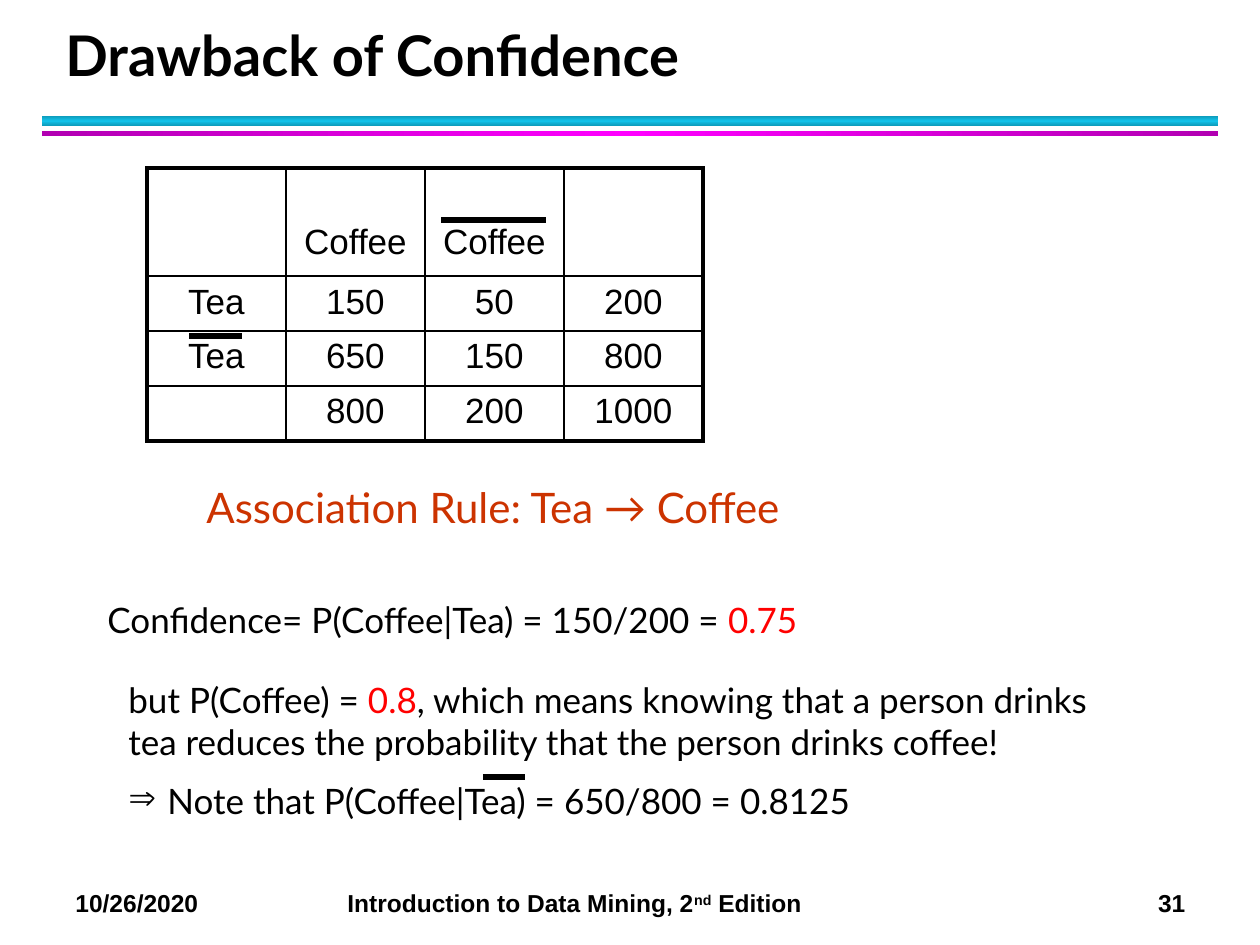
import copy
import pptx
import pptx.util
import pptx.dml.color
import pptx.enum.shapes
import pptx.enum.text
import pptx.oxml.ns
from lxml import etree

THEME = {
    "black": "000000", "red": "FF0000", "rust": "CC3300",
    "cyan": ("0E9BBA", "12C2E9", "0E9BBA"),
    "magenta": ("B200B2", "FF00FF", "B200B2"),
    "body_font": "Lato", "plain_font": "Arial",
    "title": 32, "rule": 24, "body": 20, "footer": 14,
    "thin": 1, "frame": 2.25, "overline": 3,
}
PX = 914400 / 126
qn = pptx.oxml.ns.qn
Pt = pptx.util.Pt
RGB = pptx.dml.color.RGBColor.from_string
ALIGN = pptx.enum.text.PP_ALIGN
ANCHOR = pptx.enum.text.MSO_ANCHOR


def add_box(x, y, w, h):
    """Add a wrapping text box, in px, and return its text frame."""
    box = s.shapes.add_textbox(*[round(v * PX) for v in (x, y, w, h)])
    box.text_frame.word_wrap = True
    return box.text_frame


def add_runs(p, size, *runs, font=THEME["body_font"], bold=False):
    """Add (text, colour name) runs to a paragraph."""
    for text, color in runs:
        r = p.add_run()
        r.text = text
        r.font.name, r.font.size, r.font.bold = font, Pt(THEME[size]), bold
        r.font.color.rgb = RGB(THEME[color])
    return p


prs = pptx.Presentation()
prs.slide_width, prs.slide_height = round(1260 * PX), round(945 * PX)
s = prs.slides.add_slide(prs.slide_layouts[6])

# Gradient bars under the title
for y, h, colors, angle in ((116, 10, "cyan", 90), (131, 5, "magenta", 0)):
    sp = s.shapes.add_shape(pptx.enum.shapes.MSO_SHAPE.RECTANGLE,
                            *[round(v * PX) for v in (42, y, 1176, h)])
    sp.shadow.inherit = False
    sp.line.fill.background()
    sp.fill.gradient()
    sp.fill.gradient_angle = angle
    stops = next(sp._element.iter(qn("a:gsLst")))
    stops.insert(1, copy.deepcopy(stops[0]))
    for stop, position, color in zip(sp.fill.gradient_stops, (0, 0.5, 1), THEME[colors]):
        stop.position = position
        stop.color.rgb = RGB(color)

# Title
tf = add_box(53, 21, 1142, 73)
tf.vertical_anchor = ANCHOR.BOTTOM
p = add_runs(tf.paragraphs[0], "title", ("Drawback of Confidence", "black"), bold=True)
p.line_spacing = Pt(36)

# Contingency table
counts = [
    ["", "Coffee", "Coffee", ""],
    ["Tea", "150", "50", "200"],
    ["Tea", "650", "150", "800"],
    ["", "800", "200", "1000"],
]
n = len(counts)
heights = [108, 55, 55, 55]
frame = s.shapes.add_table(n, n, *[round(v * PX) for v in (147, 168, 556, sum(heights))])
table = frame.table
table.first_row = table.horz_banding = False
for i, h in enumerate(heights):
    table.rows[i].height = round(h * PX)
    table.columns[i].width = round(139 * PX)
    for j, text in enumerate(counts[i]):
        cell = table.cell(i, j)
        if i == 0:
            cell.vertical_anchor = ANCHOR.BOTTOM
            cell.margin_bottom = round(14 * PX)
        p = cell.text_frame.paragraphs[0]
        p.alignment = ALIGN.CENTER
        if text:
            add_runs(p, "body", (text, "black"), font=THEME["plain_font"])
        tcPr = cell._tc.get_or_add_tcPr()
        edges = {"L": j == 0, "R": j == n - 1, "T": i == 0, "B": i == n - 1}
        for side, outer in edges.items():
            width = Pt(THEME["frame" if outer else "thin"])
            ln = etree.SubElement(tcPr, qn("a:ln" + side), w=str(width))
            fill = etree.SubElement(ln, qn("a:solidFill"))
            etree.SubElement(fill, qn("a:srgbClr"), val=THEME["black"])
        cell.fill.background()

# Association rule and its confidence
tf = add_box(95, 475, 1018, 178)
p = tf.paragraphs[0]
p._p.get_or_add_pPr().set("marL", str(round(99 * PX)))
add_runs(p, "rule", ("Association Rule: Tea → Coffee", "rust"))
p = add_runs(tf.add_paragraph(), "body",
             ("Confidence= P(Coffee|Tea) = 150/200 = ", "black"), ("0.75", "red"))
p.space_before = Pt(38)

# Why the confidence misleads
tf = add_box(116, 672, 1018, 160)
add_runs(tf.paragraphs[0], "body", ("but P(Coffee) = ", "black"), ("0.8", "red"),
         (", which means knowing that a person drinks tea reduces the probability "
          "that the person drinks coffee!", "black"))
p = tf.add_paragraph()
p.space_before = Pt(10)
pPr = p._p.get_or_add_pPr()
pPr.set("marL", str(round(39 * PX)))
pPr.set("indent", str(round(-39 * PX)))
etree.SubElement(pPr, qn("a:buChar"), char="⇒")
add_runs(p, "body", ("Note that P(Coffee|Tea) = 650/800 = 0.8125", "black"))

# Overlines that negate Coffee and Tea
for x1, x2, y in ((441, 546, 220), (189, 242, 336), (483, 525, 777)):
    line = s.shapes.add_connector(pptx.enum.shapes.MSO_CONNECTOR.STRAIGHT,
                                  *[round(v * PX) for v in (x1, y, x2, y)])
    line.line.width = Pt(THEME["overline"])
    line.line.color.rgb = RGB(THEME["black"])
    etree.SubElement(line._element.spPr, qn("a:effectLst"))

# Footer: date, book and page number on tab stops
tf = add_box(63, 882, 1176, 43)
p = tf.paragraphs[0]
tabs = etree.SubElement(p._p.get_or_add_pPr(), qn("a:tabLst"))
for pos, align in ((272, "l"), (1110, "r")):
    etree.SubElement(tabs, qn("a:tab"), pos=str(round(pos * PX)), algn=align)
add_runs(p, "footer", ("10/26/2020\tIntroduction to Data Mining, 2", "black"),
         ("nd", "black"), (" Edition\t31", "black"), font=THEME["plain_font"], bold=True)
p.runs[1].font._element.set("baseline", "30000")

prs.save("out.pptx")
